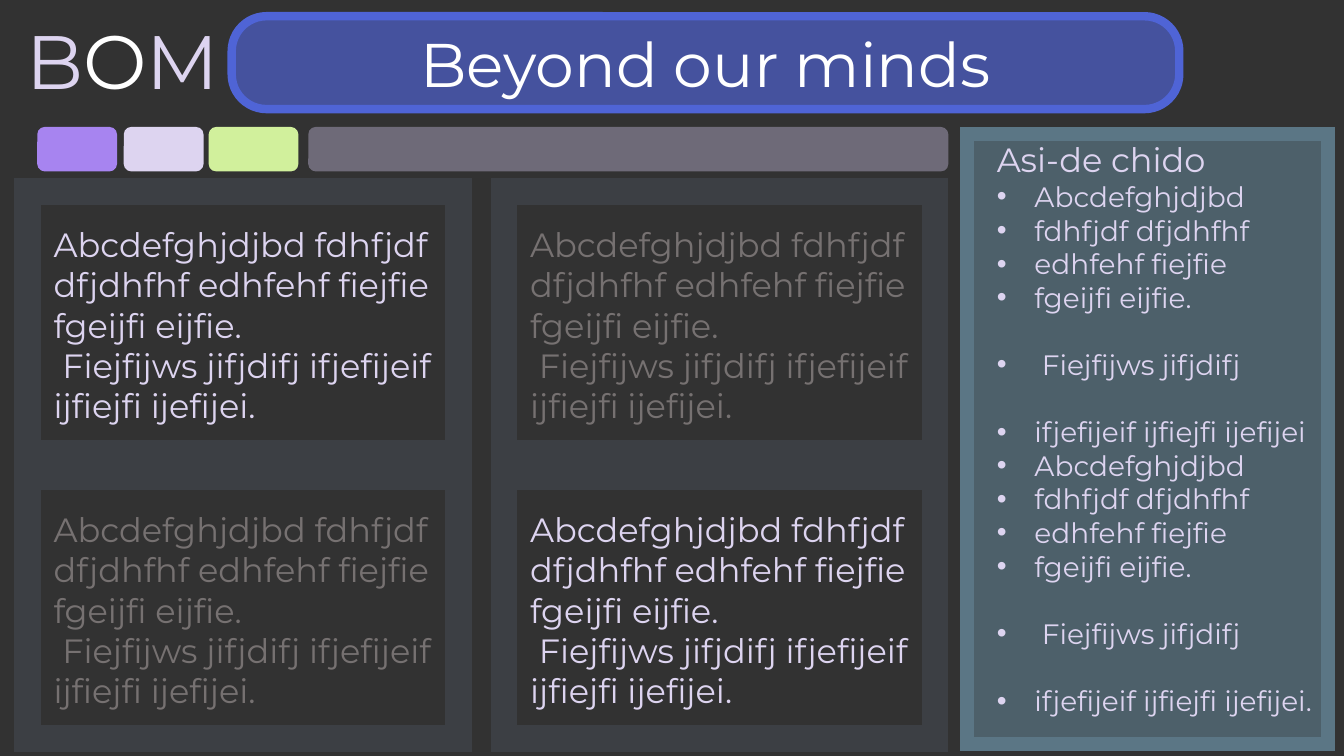
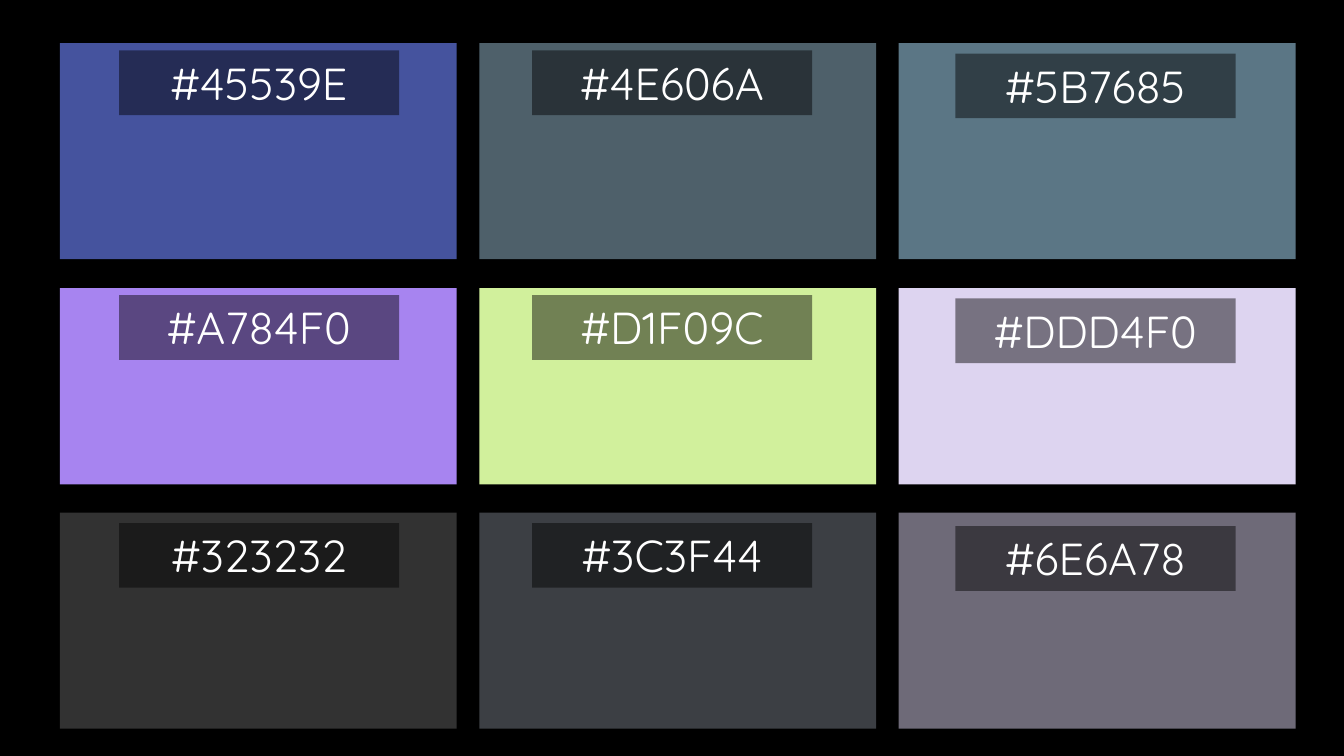
from dataclasses import dataclass

from lxml import etree
from pptx import Presentation
from pptx.dml.color import RGBColor
from pptx.enum import shapes, text
from pptx.oxml import ns
from pptx.util import Cm, Pt


@dataclass(frozen=True)
class Theme:
    charcoal: str = "323232"
    slate: str = "3C3F44"
    steel: str = "5B7685"
    teal: str = "4E606A"
    indigo: str = "45539E"
    blue: str = "4F64D6"
    violet: str = "A784F0"
    lilac: str = "DDD4F0"
    lime: str = "D1F09C"
    mauve: str = "6E6A78"
    muted: str = "767171"
    white: str = "FFFFFF"
    black: str = "000000"
    font: str = "Montserrat"
    label_font: str = "Quicksand"
    logo: int = 54
    title: int = 44
    label: int = 32
    body: int = 24
    item: int = 20


T = Theme()
RECT = shapes.MSO_SHAPE.RECTANGLE
ROUND = shapes.MSO_SHAPE.ROUNDED_RECTANGLE
CENTER = text.PP_ALIGN.CENTER
BODY = (
    "Abcdefghjdjbd fdhfjdf dfjdhfhf edhfehf fiejfie fgeijfi eijfie.",
    " Fiejfijws jifjdifj ifjefijeif ijfiejfi ijefijei.",
)
ITEMS = (
    "Abcdefghjdjbd",
    "fdhfjdf dfjdhfhf",
    "edhfehf fiejfie",
    "fgeijfi eijfie.",
    " Fiejfijws jifjdifj",
    "ifjefijeif ijfiejfi ijefijei",
)
SPACED_ITEMS = ITEMS[4:]


def rgb(color):
    return RGBColor.from_string(color)


def add_slide(prs, color):
    s = prs.slides.add_slide(prs.slide_layouts[6])
    s.background.fill.solid()
    s.background.fill.fore_color.rgb = rgb(color)
    return s


def add_box(s, box, fill=None, alpha=100, line=None, weight=0, kind=RECT, radius=None):
    sp = s.shapes.add_shape(kind, *map(Cm, box))
    sp.shadow.inherit = False
    if radius is not None:
        sp.adjustments[0] = radius
    if fill:
        sp.fill.solid()
        sp.fill.fore_color.rgb = rgb(fill)
        if alpha < 100:
            color = sp.fill._xPr.find(".//" + ns.qn("a:srgbClr"))
            etree.SubElement(color, ns.qn("a:alpha"), val=str(alpha * 1000))
    else:
        sp.fill.background()
    if line:
        sp.line.color.rgb = rgb(line)
        sp.line.width = Pt(weight)
        ln = sp.line._get_or_add_ln()
        etree.SubElement(ln, ns.qn("a:miter"), lim="800000")
    else:
        sp.line.fill.background()
    return sp


def add_text(s, box, wrap=True):
    tf = s.shapes.add_textbox(*map(Cm, box)).text_frame
    tf.word_wrap = wrap
    tf.auto_size = text.MSO_AUTO_SIZE.SHAPE_TO_FIT_TEXT
    return tf


def add_run(p, words, size, color, font=T.font):
    r = p.add_run()
    r.text = words
    r.font.size = Pt(size)
    r.font.name = font
    r.font.color.rgb = rgb(color)


def set_caption(sp, words, size, font, anchor):
    tf = sp.text_frame
    tf.vertical_anchor = anchor
    p = tf.paragraphs[0]
    p.alignment = CENTER
    add_run(p, words, size, T.white, font)


def set_bullet(p):
    pPr = p._p.get_or_add_pPr()
    indent = Cm(0.95)
    pPr.set("marL", str(indent))
    pPr.set("indent", str(-indent))
    etree.SubElement(pPr, ns.qn("a:buFont"), typeface="Arial")
    etree.SubElement(pPr, ns.qn("a:buChar"), char="•")


def add_header(s):
    p = add_text(s, (0.41, 0.23, 5.46, 2.57), wrap=False).paragraphs[0]
    for letter, color in zip("BOM", (T.lilac, T.white, T.lilac)):
        add_run(p, letter, T.logo, color)
    sp = add_box(s, (5.84, 0.41, 23.88, 2.34), T.blue, 66, T.blue, 6, ROUND, 0.375)
    set_caption(sp, "Beyond our minds", T.title, T.font, text.MSO_ANCHOR.MIDDLE)


def add_color_bar(s):
    chips = ((0.94, 2.01, T.violet), (3.12, 2.01, T.lilac),
             (5.26, 2.26, T.lime), (7.77, 16.13, T.mauve))
    for left, width, color in chips:
        add_box(s, (left, 3.2, width, 1.12), color, kind=ROUND)


def add_panel(s, left, top, color):
    add_box(s, (left, top, 10.87, 6.6), line=T.slate, weight=19)
    tf = add_text(s, (left + 0.41, top + 0.69, 10.1, 5.38))
    for i, words in enumerate(BODY):
        p = tf.add_paragraph() if i else tf.paragraphs[0]
        add_run(p, words, T.body, color)


def add_sidebar(s):
    add_box(s, (24.38, 3.38, 9.09, 15.37), T.steel, 68, T.steel, 10)
    tf = add_text(s, (24.87, 3.38, 8.55, 14.96))
    add_run(tf.paragraphs[0], "Asi-de chido", T.body, T.lilac)
    for words in ITEMS + ITEMS[:-1] + (ITEMS[-1] + ".",):
        p = tf.add_paragraph()
        if words.rstrip(".") in SPACED_ITEMS:
            p.space_before = Pt(24)
        set_bullet(p)
        add_run(p, words, T.item, T.lilac)


def add_swatch(s, box, label_left, label_top, color):
    add_box(s, box, color)
    sp = add_box(s, (label_left, label_top, 7.06, 1.63), T.black, 46)
    set_caption(sp, "#" + color, T.label, T.label_font, text.MSO_ANCHOR.TOP)


def build_layout(prs):
    s = add_slide(prs, T.charcoal)
    add_sidebar(s)
    add_header(s)
    add_color_bar(s)
    for row in range(2):
        for col in range(2):
            color = T.muted if (row + col) % 2 else T.lilac
            add_panel(s, 0.69 + 12.01 * col, 4.83 + 7.18 * row, color)


def build_palette(prs):
    s = add_slide(prs, T.black)
    rows = (
        (1.09, 5.44, 1.27, (T.indigo, T.teal, T.steel)),
        (7.26, 4.95, 7.44, (T.violet, T.lime, T.lilac)),
        (12.92, 5.44, 13.18, (T.charcoal, T.slate, T.mauve)),
    )
    labels = ((3, 0), (13.41, 0), (24.08, 0.08))
    for top, height, label_top, colors in rows:
        for col, (color, (label_left, drop)) in enumerate(zip(colors, labels)):
            box = (1.51 + 10.57 * col, top, 10, height)
            add_swatch(s, box, label_left, label_top + drop, color)


def main():
    prs = Presentation()
    prs.slide_width = Cm(33.87)
    prs.slide_height = Cm(19.05)
    build_layout(prs)
    build_palette(prs)
    prs.save("out.pptx")


if __name__ == "__main__":
    main()
